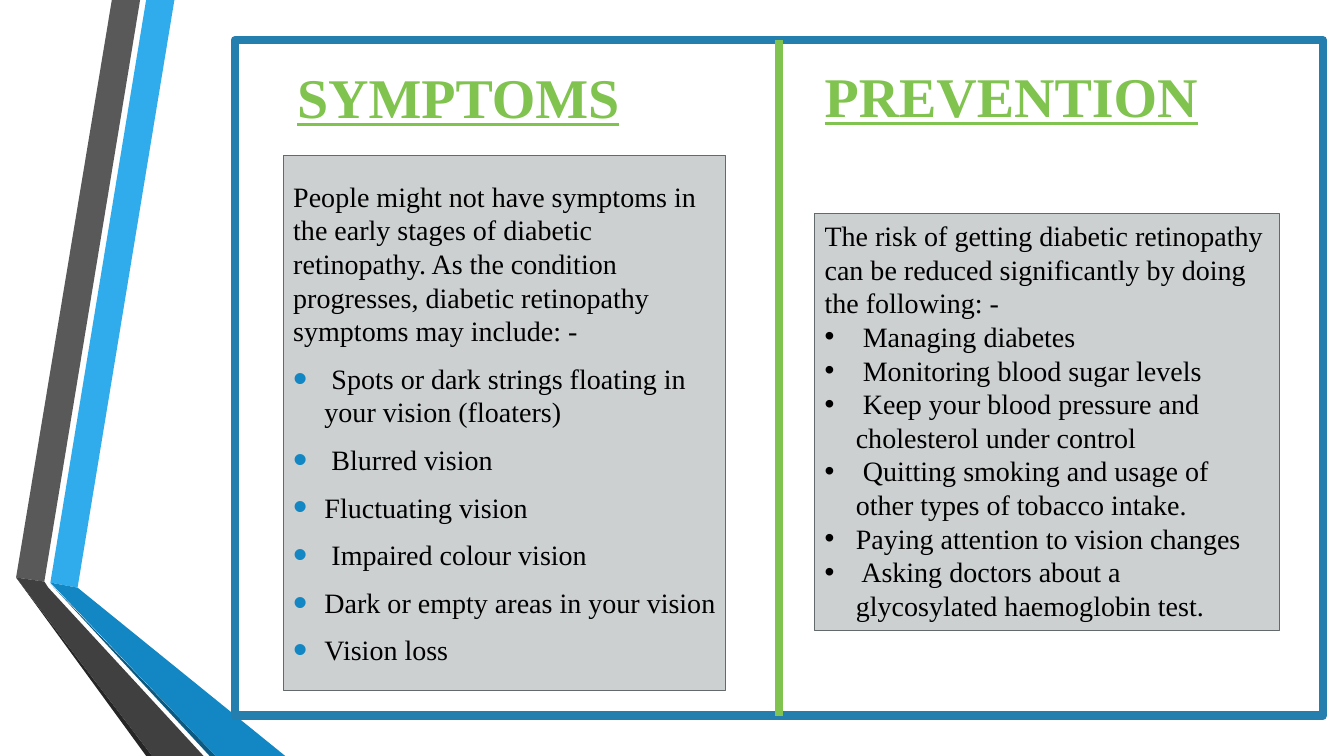
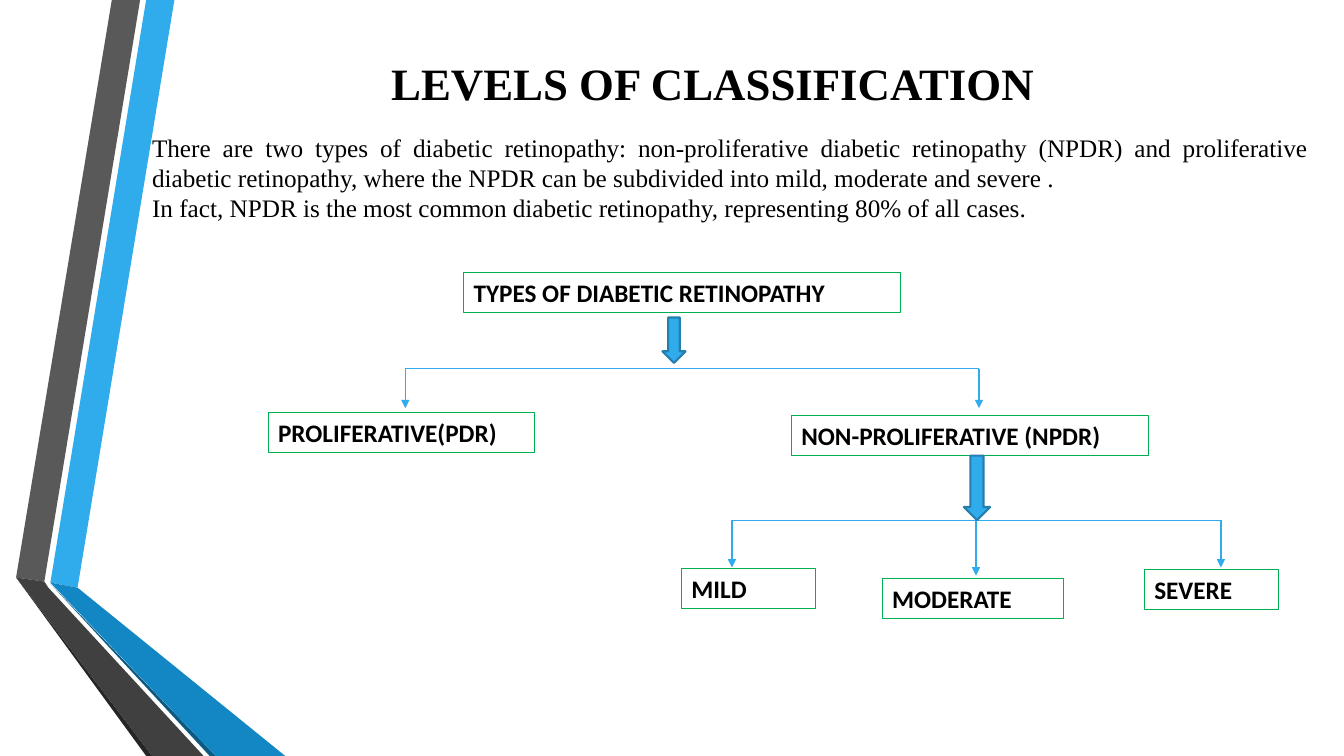
from lxml.etree import SubElement
from pptx import Presentation
from pptx.dml.color import RGBColor
from pptx.enum.shapes import MSO_CONNECTOR, MSO_SHAPE
from pptx.enum.text import MSO_ANCHOR, PP_ALIGN
from pptx.oxml.ns import qn
from pptx.util import Inches, Pt

SERIF = "Times New Roman"
SANS = "Calibri"
BLACK = "000000"
GREEN = "80C34F"
BOX_GREEN = "00B050"
SKY = "30ACEC"
BLUE = "1287C3"
STEEL = "247FAF"
PANEL_FILL = "CDD0D1"
PANEL_LINE = "636A6C"
TITLE_ONLY = 5

RIBBONS = [
    (SKY, [(0.5, 5.78), (0.77, 5.83), (1.73, 0), (1.45, 0)]),
    ("595959", [(1.39, 0), (1.11, 0), (0.16, 5.73), (0.44, 5.77)]),
    ("262626", [(0.16, 5.73), (1.45, 7.5), (1.51, 7.5)]),
    ("0C5A82", [(0.5, 5.79), (2.08, 7.5), (2.14, 7.5)]),
    (BLUE, [(0.5, 5.78), (2.14, 7.5), (2.83, 7.5), (0.77, 5.83)]),
    ("404040", [(2.02, 7.5), (0.48, 5.83), (0.44, 5.77), (0.16, 5.73), (1.51, 7.5)]),
]

SYMPTOMS = [
    "People might not have symptoms in the early stages of diabetic retinopathy. "
    "As the condition progresses, diabetic retinopathy symptoms may include: -",
    " Spots or dark strings floating in your vision (floaters)",
    " Blurred vision",
    "Fluctuating vision",
    " Impaired colour vision",
    "Dark or empty areas in your vision",
    "Vision loss",
]
PREVENTION = [
    "The risk of getting diabetic retinopathy can be reduced significantly "
    "by doing the following: -",
    " Managing diabetes",
    " Monitoring blood sugar levels",
    " Keep your blood pressure and cholesterol under control",
    " Quitting smoking and usage of other types of tobacco intake.",
    "Paying attention to vision changes",
    " Asking doctors about a glycosylated haemoglobin test.",
]
INTRODUCTION = [
    "There are two types of diabetic retinopathy: non-proliferative diabetic retinopathy "
    "(NPDR) and proliferative diabetic retinopathy, where the NPDR can be subdivided into "
    "mild, moderate and severe .",
    "In fact, NPDR is the most common diabetic retinopathy, representing 80% of all cases.",
]


def color(value):
    return RGBColor.from_string(value)


def inches(*lengths):
    return [Inches(length) for length in lengths]


def add_text(paragraph, text, size, font=SERIF, ink=BLACK, bold=False, underline=False):
    run = paragraph.add_run()
    run.text = text
    run.font.name = font
    run.font.size = Pt(size)
    run.font.color.rgb = color(ink)
    run.font.bold = bold
    run.font.underline = underline


def add_paragraph(frame, position):
    return frame.add_paragraph() if position else frame.paragraphs[0]


def add_bullet(paragraph, ink=None, percent=None):
    properties = paragraph._p.get_or_add_pPr()
    indent = Inches(0.31)
    properties.set("marL", str(indent))
    properties.set("indent", str(-indent))
    if ink:
        tint = SubElement(properties, qn("a:buClr"))
        SubElement(tint, qn("a:srgbClr")).set("val", ink)
    if percent:
        SubElement(properties, qn("a:buSzPct")).set("val", str(percent * 1000))
    SubElement(properties, qn("a:buFont")).set("typeface", "Arial")
    SubElement(properties, qn("a:buChar")).set("char", "•")


def style_shape(shape, fill, line, width):
    shape.shadow.inherit = False
    if fill:
        shape.fill.solid()
        shape.fill.fore_color.rgb = color(fill)
    else:
        shape.fill.background()
    if line:
        shape.line.color.rgb = color(line)
        shape.line.width = Pt(width)
    else:
        shape.line.fill.background()


def add_block(slide, kind, box, fill=None, line=None, width=0.75):
    block = slide.shapes.add_shape(kind, *inches(*box))
    style_shape(block, fill, line, width)
    return block


def add_line(slide, start, end, ink, width, arrow=False):
    connector = slide.shapes.add_connector(MSO_CONNECTOR.STRAIGHT, *inches(*start, *end))
    connector.line.color.rgb = color(ink)
    connector.line.width = Pt(width)
    properties = connector.element.spPr
    if arrow:
        SubElement(properties.find(qn("a:ln")), qn("a:tailEnd")).set("type", "triangle")
    SubElement(properties, qn("a:effectLst"))


def add_ribbons(slide):
    layout_tree = slide.slide_layout.shapes.element
    for number, (fill, points) in enumerate(RIBBONS, start=100):
        start, *corners = [tuple(inches(*point)) for point in points]
        builder = slide.shapes.build_freeform(*start)
        builder.add_line_segments(corners, close=True)
        ribbon = builder.convert_to_shape()
        style_shape(ribbon, fill, None, 0)
        ribbon.element.xpath(".//p:cNvPr")[0].set("id", str(number))
        layout_tree.append(ribbon.element)


def set_title(slide, box, text, **style):
    title = slide.shapes.title
    title.left, title.top, title.width, title.height = inches(*box)
    frame = title.text_frame
    frame.word_wrap = True
    frame.vertical_anchor = MSO_ANCHOR.MIDDLE
    heading = frame.paragraphs[0]
    heading.alignment = PP_ALIGN.CENTER
    add_text(heading, text, bold=True, **style)


def add_text_box(slide, box):
    frame = slide.shapes.add_textbox(*inches(*box)).text_frame
    frame.word_wrap = True
    return frame


def add_panel(slide, box, texts, anchor, before=0, after=0, **bullet):
    panel = add_block(slide, MSO_SHAPE.RECTANGLE, box, PANEL_FILL, PANEL_LINE)
    frame = panel.text_frame
    frame.word_wrap = True
    frame.vertical_anchor = anchor
    for position, text in enumerate(texts):
        paragraph = add_paragraph(frame, position)
        paragraph.alignment = PP_ALIGN.LEFT
        paragraph.space_before = Pt(before)
        paragraph.space_after = Pt(after)
        if position:
            add_bullet(paragraph, **bullet)
        add_text(paragraph, text, 20)


def build_comparison(slide, box):
    left, top, width, height = box
    heading_style = dict(size=40, ink=GREEN, underline=True)
    set_title(slide, (left + 0.09, top + 0.26, 4.25, 0.59), "SYMPTOMS", **heading_style)
    add_panel(slide, (left + 0.48, top + 1.14, 4.39, 5.31), SYMPTOMS, MSO_ANCHOR.MIDDLE,
              before=4, after=6, ink=BLUE, percent=145)
    prevention_left = left + 5.75
    add_panel(slide, (prevention_left, top + 1.72, 4.61, 4.14), PREVENTION, MSO_ANCHOR.TOP)
    heading = add_text_box(slide, (prevention_left, top + 0.16, 3.92, 0.77))
    add_text(heading.paragraphs[0], "PREVENTION", bold=True, **heading_style)
    add_block(slide, MSO_SHAPE.RECTANGLE, box, line=STEEL, width=6)
    middle = left + width / 2
    add_line(slide, (middle, top), (middle, top + height), GREEN, 6)


def add_branch(slide, top, drops):
    add_line(slide, (drops[0][0], top), (drops[-1][0], top), SKY, 0.79)
    for center, length in drops:
        add_line(slide, (center, top), (center, top + length), SKY, 0.79, arrow=True)


def build_type_tree(slide, left, top):
    nodes = [
        ("TYPES OF DIABETIC RETINOPATHY", 1.94, 0, 4.33),
        ("PROLIFERATIVE(PDR)", 0, 1.39, 2.64),
        ("NON-PROLIFERATIVE (NPDR)", 5.19, 1.42, 3.54),
        ("MILD", 4.1, 2.94, 1.33),
        ("MODERATE", 6.09, 3.04, 1.8),
        ("SEVERE", 8.69, 2.95, 1.33),
    ]
    for label, across, down, width in nodes:
        node = add_block(slide, MSO_SHAPE.RECTANGLE,
                         (left + across, top + down, width, 0.4), line=BOX_GREEN)
        frame = node.text_frame
        frame.word_wrap = True
        frame.vertical_anchor = MSO_ANCHOR.TOP
        frame.paragraphs[0].alignment = PP_ALIGN.LEFT
        add_text(frame.paragraphs[0], label, 18, font=SANS, bold=True)
    add_branch(slide, top + 0.96, [(left + 1.36, 0.39), (left + 7.05, 0.39)])
    add_branch(slide, top + 2.46,
               [(left + 4.6, 0.47), (left + 7.02, 0.55), (left + 9.45, 0.47)])
    for across, down, width, height in [(3.91, 0.45, 0.23, 0.45), (6.9, 1.82, 0.26, 0.64)]:
        add_block(slide, MSO_SHAPE.DOWN_ARROW, (left + across, top + down, width, height),
                  SKY, STEEL, 1.5)


def build_classification(slide):
    set_title(slide, (1.59, 0.37, 10.96, 0.89), "LEVELS OF CLASSIFICATION", size=32)
    introduction = add_text_box(slide, (1.41, 1.26, 11.67, 1.01))
    for position, text in enumerate(INTRODUCTION):
        paragraph = add_paragraph(introduction, position)
        paragraph.alignment = PP_ALIGN.JUSTIFY
        add_text(paragraph, text, 18)
    build_type_tree(slide, 2.66, 2.7)


def main():
    deck = Presentation()
    deck.slide_width, deck.slide_height = inches(13.33, 7.5)
    layout = deck.slide_layouts[TITLE_ONLY]
    comparison = deck.slides.add_slide(layout)
    add_ribbons(comparison)
    build_comparison(comparison, (2.33, 0.4, 10.79, 6.7))
    build_classification(deck.slides.add_slide(layout))
    deck.save("out.pptx")


if __name__ == "__main__":
    main()
